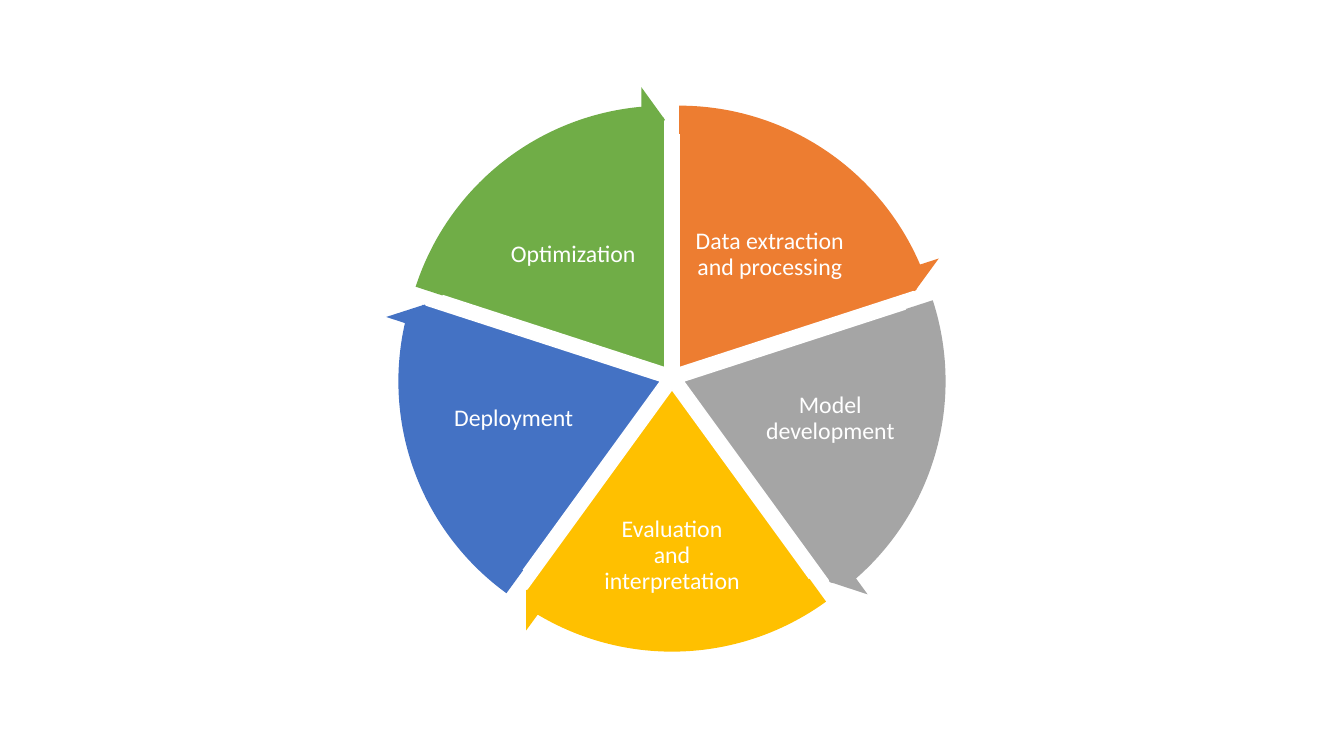
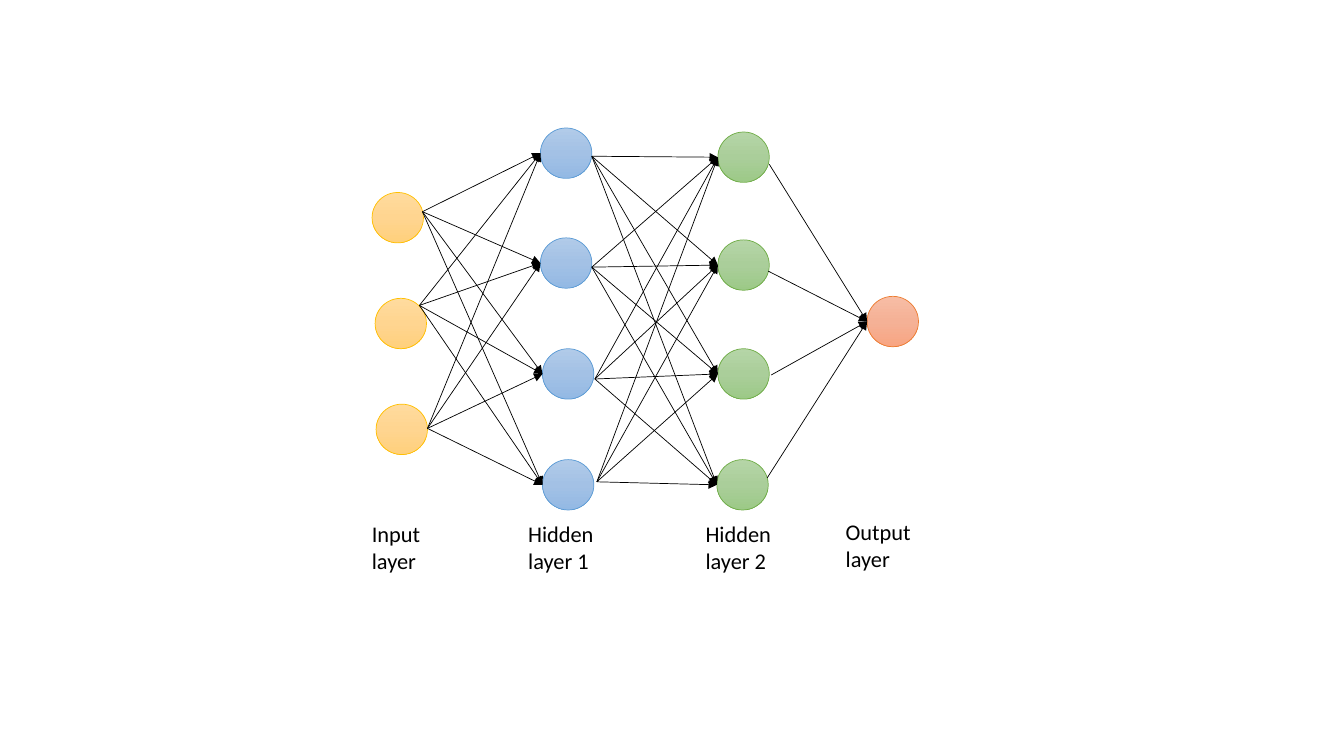
import copy
import dataclasses
import math

import pptx
import pptx.dml.color
import pptx.enum.shapes
import pptx.enum.text
import pptx.oxml.ns
import pptx.oxml.xmlchemy
import pptx.util
from lxml import etree

Inches = pptx.util.Inches
Pt = pptx.util.Pt
SHAPE = pptx.enum.shapes.MSO_SHAPE
qn = pptx.oxml.ns.qn


@dataclasses.dataclass(frozen=True)
class Theme:
    font: str = "Calibri"
    wedge_size: float = 17
    layer_size: float = 16
    wedge_line: float = 1
    network_line: float = 0.5
    white: str = "FFFFFF"
    black: str = "000000"
    orange: str = "ED7D31"
    gray: str = "A5A5A5"
    gold: str = "FFC000"
    blue: str = "4472C4"
    green: str = "70AD47"
    sky: str = "5B9BD5"
    gold_fade: tuple = ("FFDB9E", "FFD590", "FFD07C")
    sky_fade: tuple = ("B1CBE9", "A3C1E5", "93B9E4")
    green_fade: tuple = ("B5D5A7", "AACE9A", "9CC987")
    orange_fade: tuple = ("F7BDA5", "F5B196", "F8A582")


THEME = Theme()

WEDGE_FRAME = {
    "margin_left": Inches(0.02), "margin_right": Inches(0.02),
    "margin_top": Inches(0.02), "margin_bottom": Inches(0.02),
    "vertical_anchor": pptx.enum.text.MSO_ANCHOR.MIDDLE, "word_wrap": True,
}
WEDGE_PARAGRAPH = {"alignment": pptx.enum.text.PP_ALIGN.CENTER, "line_spacing": 0.9}
WEDGE_FONT = {"name": THEME.font, "size": Pt(THEME.wedge_size)}
LAYER_FRAME = {
    "word_wrap": True,
    "auto_size": pptx.enum.text.MSO_AUTO_SIZE.SHAPE_TO_FIT_TEXT,
}
LAYER_FONT = {"name": THEME.font, "size": Pt(THEME.layer_size)}

STAGES = [
    ("Data extraction and processing", THEME.orange, (0.97, -1.22), (1.6, 1.07)),
    ("Model development", THEME.gray, (1.57, 0.41), (1.48, 1.19)),
    ("Evaluation and interpretation", THEME.gold, (0, 1.77), (1.42, 1.3)),
    ("Deployment", THEME.blue, (-1.57, 0.41), (1.48, 1.19)),
    ("Optimization", THEME.green, (-0.98, -1.22), (1.6, 1.07)),
]


@dataclasses.dataclass(frozen=True)
class Layer:
    label: str
    label_box: tuple
    outline: str
    fade: tuple
    neurons: tuple
    exits: tuple = ()


LAYERS = [
    Layer("Input layer", (-0.01, 3.91, 0.84, 0.64), THEME.gold, THEME.gold_fade,
          ((0.09, 0.71), (0.12, 1.76), (0.13, 2.81)),
          ((0.5, 0.19), (0.44, 0.07), (0.51, 0.24))),
    Layer("Hidden layer 1", (1.54, 3.91, 1.11, 0.64), THEME.sky, THEME.sky_fade,
          ((1.76, 0.07), (1.76, 1.16), (1.78, 2.26), (1.78, 3.36)),
          ((0.51, 0.28), (0.51, 0.29), (0.52, 0.3), (0.54, 0.22))),
    Layer("Hidden layer 2", (3.3, 3.91, 1.24, 0.64), THEME.green, THEME.green_fade,
          ((3.52, 0.11), (3.52, 1.18), (3.52, 2.26), (3.51, 3.36)),
          ((0.51, 0.32), (0.5, 0.31), (0.53, 0.26), (0.5, 0.18))),
    Layer("Output\nlayer", (4.69, 3.89, 1.14, 0.64), THEME.orange, THEME.orange_fade,
          ((5, 1.74),)),
]


def rgb(value):
    return pptx.dml.color.RGBColor.from_string(value)


def apply_format(target, values):
    for name, value in values.items():
        setattr(target, name, value)


def set_line(line, color, width):
    line.color.rgb = rgb(color)
    line.width = Pt(width)


def add_text(slide, box, text, color, frame_format, paragraph_format, font_format):
    frame = slide.shapes.add_textbox(*map(Inches, box)).text_frame
    frame.text = text
    apply_format(frame, frame_format)
    for paragraph in frame.paragraphs:
        apply_format(paragraph, paragraph_format)
        for run in paragraph.runs:
            apply_format(run.font, font_format)
            run.font.color.rgb = rgb(color)


def add_round(slide, kind, center, size, adjustments, color):
    left, top = (middle - size / 2 for middle in center)
    part = slide.shapes.add_shape(kind, *map(Inches, (left, top, size, size)))
    part.shadow.inherit = False
    for index, value in enumerate(adjustments):
        part.adjustments[index] = value
    part.fill.solid()
    part.fill.fore_color.rgb = rgb(color)
    return part


def draw_cycle(slide, box):
    left, top, width, height = box
    middle = (left + width / 2, top + height / 2)
    wedge_size, arrow_size = 0.89 * width, width
    sweep = 360 / len(STAGES)
    arrows = []
    for index, (label, color, offset, size) in enumerate(STAGES):
        start = (270 + index * sweep) % 360
        end = (start + sweep) % 360
        bisector = math.radians(start + sweep / 2)
        center = (middle[0] + 0.12 * math.cos(bisector),
                  middle[1] + 0.12 * math.sin(bisector))
        wedge = add_round(slide, SHAPE.PIE, center, wedge_size,
                          (start * 0.6, end * 0.6), color)
        set_line(wedge.line, THEME.white, THEME.wedge_line)
        label_box = (middle[0] + offset[0] - size[0] / 2,
                     middle[1] + offset[1] - size[1] / 2, *size)
        add_text(slide, label_box, label, THEME.white,
                 WEDGE_FRAME, WEDGE_PARAGRAPH, WEDGE_FONT)
        head = 3.28
        arrows.append((center, (0.05, head, end * 0.6 - head, start * 0.6, 0.06), color))
    for center, adjustments, color in arrows:
        arrow = add_round(slide, SHAPE.CIRCULAR_ARROW, center, arrow_size,
                          adjustments, color)
        arrow.line.fill.background()


def add_neuron(slide, box, layer):
    neuron = slide.shapes.add_shape(SHAPE.OVAL, *map(Inches, box))
    neuron.shadow.inherit = False
    set_line(neuron.line, layer.outline, THEME.network_line)
    neuron.fill.gradient()
    neuron.fill.gradient_angle = 270
    stops = next(neuron.element.iter(qn("a:gsLst")))
    stops.insert(1, copy.deepcopy(stops[0]))
    for index, (stop, color) in enumerate(zip(neuron.fill.gradient_stops, layer.fade)):
        stop.position = index / 2
        stop.color.rgb = rgb(color)


def add_link(slide, start, end):
    link = slide.shapes.add_connector(
        pptx.enum.shapes.MSO_CONNECTOR.STRAIGHT, *map(Inches, (*start, *end)))
    set_line(link.line, THEME.black, THEME.network_line)
    properties = link.element.spPr
    etree.SubElement(properties.find(qn("a:ln")), qn("a:tailEnd"), type="triangle")
    etree.SubElement(properties, qn("a:effectLst"))


def draw_network(slide, origin):
    left, top = origin
    width, height = 0.51, 0.5
    for layer in LAYERS:
        for x, y in layer.neurons:
            add_neuron(slide, (left + x, top + y, width, height), layer)
    for source, target in zip(LAYERS, LAYERS[1:]):
        for (x, y), (exit_x, exit_y) in zip(source.neurons, source.exits):
            for entry_x, entry_y in target.neurons:
                add_link(slide, (left + x + exit_x, top + y + exit_y),
                         (left + entry_x, top + entry_y + height / 2))
    for layer in LAYERS:
        x, y, label_width, label_height = layer.label_box
        add_text(slide, (left + x, top + y, label_width, label_height), layer.label,
                 THEME.black, LAYER_FRAME, {}, LAYER_FONT)


def main():
    deck = pptx.Presentation()
    apply_format(deck, {"slide_width": Inches(13.33), "slide_height": Inches(7.5)})
    blank = deck.slide_layouts[6]
    draw_cycle(deck.slides.add_slide(blank), (3.87, 0.95, 5.59, 5.59))
    draw_network(deck.slides.add_slide(blank), (3.6, 1.2))
    deck.save("out.pptx")


if __name__ == "__main__":
    main()
